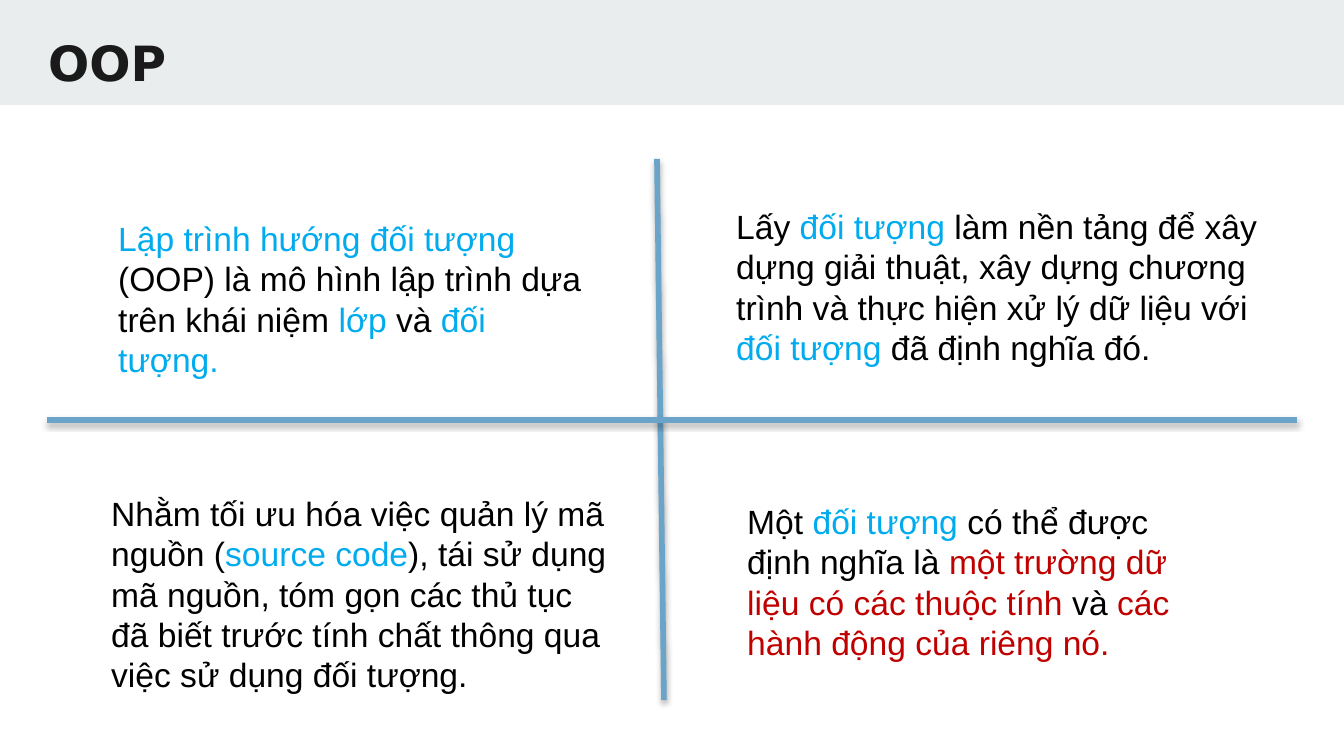
from dataclasses import dataclass

from lxml import etree
from pptx import Presentation
from pptx import util as u
from pptx.dml.color import RGBColor
from pptx.enum import shapes, text
from pptx.oxml import parse_xml
from pptx.oxml.ns import nsdecls, qn

SCALE = 914400 / 134.4
BAND = RGBColor(0xE9, 0xED, 0xEE)
INK = RGBColor(0x1A, 0x1A, 0x1A)
BLACK = RGBColor(0, 0, 0)
CYAN = RGBColor(0x00, 0xAB, 0xEE)
RED = RGBColor(0xC0, 0, 0)
STEEL = RGBColor(0x6A, 0xA4, 0xC8)

Run = tuple[str, RGBColor]


@dataclass
class Box:
    x: int
    y: int
    w: int
    h: int
    runs: list[Run]


@dataclass
class Axis:
    x1: int
    y1: int
    x2: int
    y2: int


TITLE = Box(35, 16, 1279, 79, [("OOP", INK)])

NOTES = [
    Box(105, 211, 495, 179, [
        ("Lập trình hướng đối tượng ", CYAN),
        ("(OOP) là mô hình lập trình dựa trên khái niệm ", BLACK),
        ("lớp", CYAN),
        (" và ", BLACK),
        ("đối tượng.", CYAN),
    ]),
    Box(98, 486, 524, 214, [
        ("Nhằm tối ưu hóa việc quản lý mã nguồn (", BLACK),
        ("source code", CYAN),
        ("), tái sử dụng mã nguồn, tóm gọn các thủ tục đã biết trước "
         "tính chất thông qua việc sử dụng đối tượng.", BLACK),
    ]),
    Box(723, 199, 551, 168, [
        ("Lấy ", BLACK),
        ("đối tượng ", CYAN),
        ("làm nền tảng để xây dựng giải thuật, xây dựng chương trình "
         "và thực hiện xử lý dữ liệu với ", BLACK),
        ("đối tượng ", CYAN),
        ("đã định nghĩa đó.", BLACK),
    ]),
    Box(734, 494, 495, 187, [
        ("Một ", BLACK),
        ("đối tượng ", CYAN),
        ("có thể được định nghĩa là ", BLACK),
        ("một trường dữ liệu có các thuộc tính ", RED),
        ("và ", BLACK),
        ("các hành động của riêng nó.", RED),
    ]),
]

AXES = [Axis(657, 159, 664, 700), Axis(47, 420, 1297, 420)]


def px(n: int) -> u.Emu:
    return u.Emu(round(n * SCALE))


def write(slide, box: Box, *, size: int = 18, font: str = "Arial",
          bold: bool = False, top: int = 7) -> None:
    shape = slide.shapes.add_textbox(px(box.x), px(box.y), px(box.w), px(box.h))
    frame = shape.text_frame
    frame.word_wrap = True
    frame.vertical_anchor = text.MSO_ANCHOR.TOP
    frame.margin_top = px(top)
    for words, color in box.runs:
        run = frame.paragraphs[0].add_run()
        run.text = words
        run.font.size = u.Pt(size)
        run.font.name = font
        run.font.bold = bold
        run.font.color.rgb = color


def band(slide) -> None:
    shape = slide.shapes.add_shape(
        shapes.MSO_SHAPE.RECTANGLE, 0, 0, px(1344), px(105))
    shape.shadow.inherit = False
    shape.fill.solid()
    shape.fill.fore_color.rgb = BAND
    shape.line.fill.background()


def shade(line) -> None:
    glow = parse_xml(f"<a:effectLst {nsdecls('a')}/>")
    drop = etree.SubElement(
        glow, qn("a:outerShdw"), blurRad=str(u.Pt(3.1)), dist=str(u.Pt(1.8)),
        dir="5400000", rotWithShape="0")
    tint = etree.SubElement(drop, qn("a:srgbClr"), val=str(BLACK))
    etree.SubElement(tint, qn("a:alpha"), val="35000")
    line._element.spPr.append(glow)


def rule(slide, axis: Axis) -> None:
    line = slide.shapes.add_connector(
        shapes.MSO_CONNECTOR.STRAIGHT,
        px(axis.x1), px(axis.y1), px(axis.x2), px(axis.y2))
    line.line.color.rgb = STEEL
    line.line.width = u.Pt(3)
    shade(line)


def main() -> None:
    deck = Presentation()
    deck.slide_width, deck.slide_height = px(1344), px(756)
    slide = deck.slides.add_slide(deck.slide_layouts[6])
    band(slide)
    write(slide, TITLE, size=26, font="DejaVu Sans", bold=True, top=17)
    for axis in AXES:
        rule(slide, axis)
    for note in NOTES:
        write(slide, note)
    deck.save("out.pptx")


if __name__ == "__main__":
    main()
